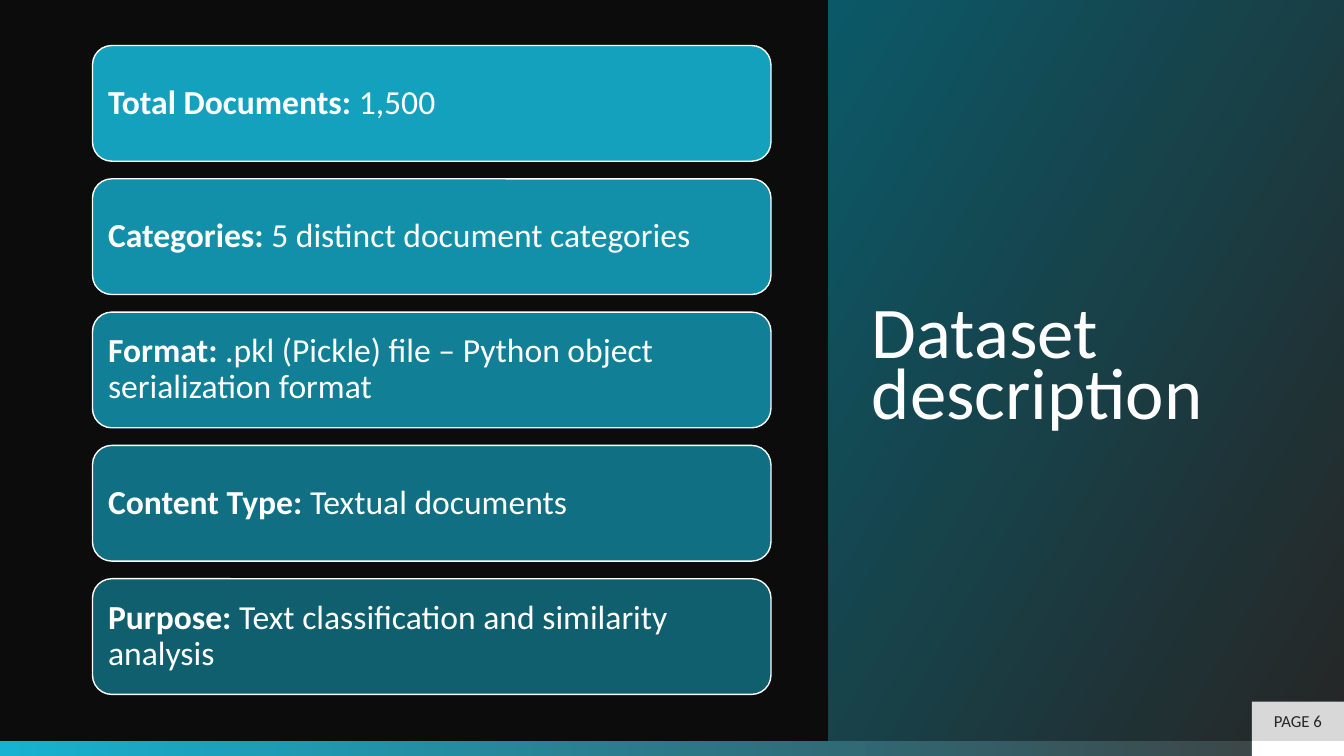
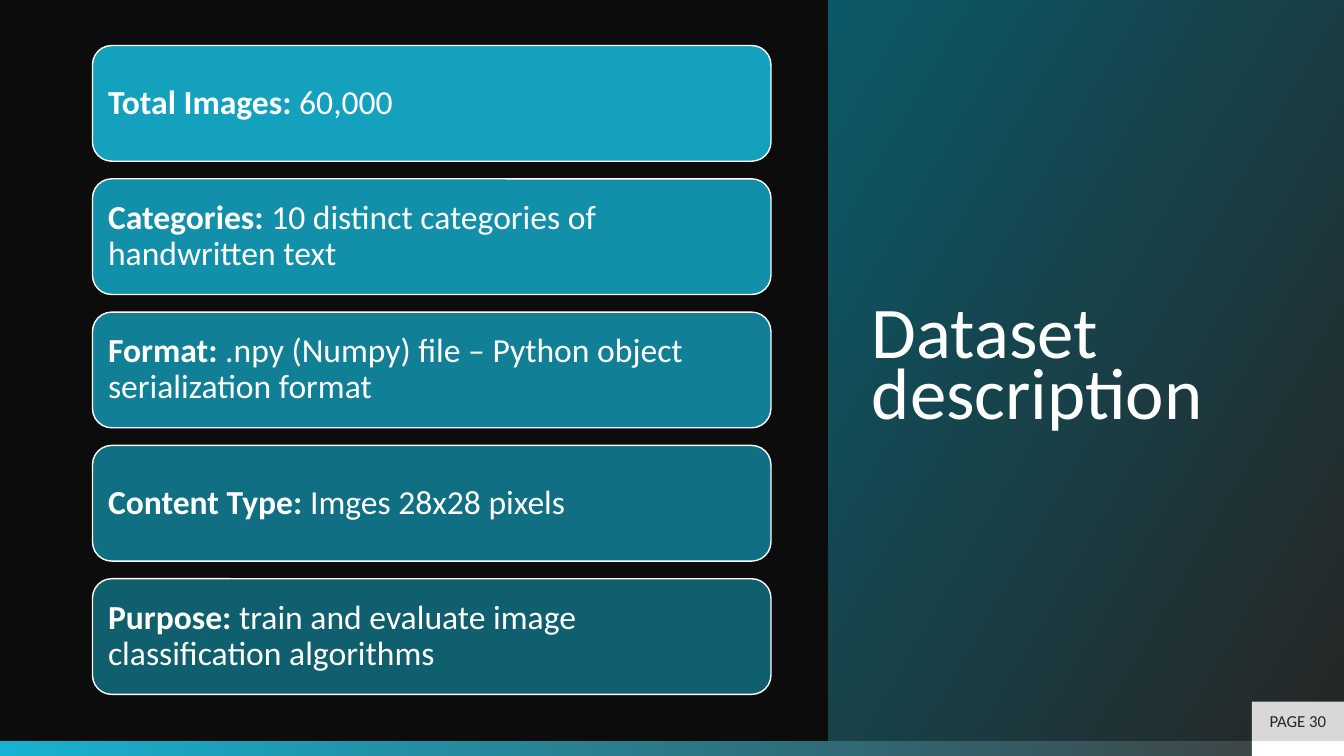
from dataclasses import dataclass
from typing import NamedTuple

from lxml.etree import SubElement
from pptx import Presentation
from pptx.dml.color import RGBColor
from pptx.enum.shapes import MSO_SHAPE
from pptx.enum.text import MSO_ANCHOR, PP_ALIGN
from pptx.oxml.ns import qn
from pptx.util import Pt


class Box(NamedTuple):
    """A rectangle in points."""

    left: float
    top: float
    width: float
    height: float


@dataclass(frozen=True)
class Theme:
    """Colours, font and type sizes of the deck."""

    background: str = "0C0C0C"
    light: str = "FFFFFF"
    dark: str = "262626"
    card: str = "14B2D1"
    badge: str = "D8D8D8"
    footer: tuple = ("17B2D1", "3F3F3F")
    panel: tuple = ("262626", "0B5968")
    font: str = "Calibri"
    title_size: int = 52
    card_size: int = 24
    badge_size: int = 12


THEME = Theme()
PAGE = Box(0, 0, 960, 540)
FOOTER_HEIGHT = 10.8
PANEL_LEFT = 591.8
BADGE_WIDTH = 65.8
BADGE_HEIGHT = 28.1
CARDS = Box(66.1, 32.5, 484.6, 463.5)
CARD_GAP = 12.6

SLIDES = [
    ("Dataset description", "PAGE 6", [
        ("Total Documents:", "1,500"),
        ("Categories:", "5 distinct document categories"),
        ("Format:", ".pkl (Pickle) file – Python object serialization format"),
        ("Content Type:", "Textual documents"),
        ("Purpose:", "Text classification and similarity analysis"),
    ]),
    ("Dataset description", "PAGE 30", [
        ("Total Images:", "60,000"),
        ("Categories:", "10 distinct categories of handwritten text"),
        ("Format:", ".npy (Numpy) file – Python object serialization format"),
        ("Content Type:", "Imges 28x28 pixels"),
        ("Purpose:", "train and evaluate image classification algorithms"),
    ]),
]


def apply_format(target, values):
    """Set each named attribute of the target."""
    for name, value in values.items():
        setattr(target, name, value)


def add_box(slide, box, color=None, kind=MSO_SHAPE.RECTANGLE):
    """Add a shape without line or shadow, filled when a colour is given."""
    shape = slide.shapes.add_shape(kind, *(Pt(length) for length in box))
    shape.shadow.inherit = False
    shape.line.fill.background()
    if color:
        shape.fill.solid()
        shape.fill.fore_color.rgb = RGBColor.from_string(color)
    return shape


def fill_gradient(shape, colors, angle):
    """Fill a shape with a linear gradient of two colours."""
    shape.fill.gradient()
    shape.fill.gradient_angle = angle
    for stop, color, position in zip(shape.fill.gradient_stops, colors, (0, 1)):
        stop.color.rgb = RGBColor.from_string(color)
        stop.position = position


def set_opacity(shape, percent):
    """Make the solid fill of a shape partly transparent."""
    color = shape.fill._xPr.find(qn("a:solidFill"))[0]
    SubElement(color, qn("a:alpha")).set("val", str(percent * 1000))


def write_text(shape, runs, size, color, insets, spacing=1.0, align=PP_ALIGN.LEFT):
    """Write one paragraph of (text, bold) runs, centred vertically."""
    across, down = (Pt(inset) for inset in insets)
    apply_format(shape.text_frame, {
        "word_wrap": True,
        "vertical_anchor": MSO_ANCHOR.MIDDLE,
        "margin_left": across,
        "margin_right": across,
        "margin_top": down,
        "margin_bottom": down,
    })
    paragraph = shape.text_frame.paragraphs[0]
    apply_format(paragraph, {"alignment": align, "line_spacing": spacing})
    for text, bold in runs:
        run = paragraph.add_run()
        run.text = text
        apply_format(run.font, {"name": THEME.font, "size": Pt(size), "bold": bold})
        run.font.color.rgb = RGBColor.from_string(color)


def add_footer(slide, box):
    """Draw the gradient band and its white end."""
    fill_gradient(add_box(slide, box), THEME.footer, 0)
    end_left = box.left + box.width - BADGE_WIDTH
    add_box(slide, Box(end_left, box.top, BADGE_WIDTH, box.height), THEME.light)


def add_title_panel(slide, box, title):
    """Draw the gradient panel with the slide title."""
    panel = add_box(slide, box)
    fill_gradient(panel, THEME.panel, 150)
    write_text(panel, [(title, False)], THEME.title_size, THEME.light, (31, 3.6), 0.7)


def add_cards(slide, box, facts):
    """Stack one card for each fact, fading from top to bottom."""
    height = (box.height - CARD_GAP * (len(facts) - 1)) / len(facts)
    for index, (label, value) in enumerate(facts):
        top = box.top + index * (height + CARD_GAP)
        card = add_box(slide, Box(box.left, top, box.width, height),
                       THEME.card, MSO_SHAPE.ROUNDED_RECTANGLE)
        set_opacity(card, 90 - 10 * index)
        card.line.color.rgb = RGBColor.from_string(THEME.light)
        card.line.width = Pt(1)
        runs = [(label, True), (f" {value}", False)]
        write_text(card, runs, THEME.card_size, THEME.light, (7.2, 7.2), 0.9)


def add_page_badge(slide, box, text):
    """Draw the page number badge."""
    badge = add_box(slide, box, THEME.badge)
    write_text(badge, [(text, False)], THEME.badge_size, THEME.dark, (7.2, 3.6),
               align=PP_ALIGN.CENTER)


def add_dataset_slide(presentation, box, title, page, facts):
    """Add a slide with fact cards beside a title panel."""
    slide = presentation.slides.add_slide(presentation.slide_layouts[6])
    slide.background.fill.solid()
    slide.background.fill.fore_color.rgb = RGBColor.from_string(THEME.background)
    body_height = box.height - FOOTER_HEIGHT
    add_footer(slide, Box(box.left, body_height, box.width, FOOTER_HEIGHT))
    add_title_panel(slide, Box(PANEL_LEFT, box.top, box.width - PANEL_LEFT, body_height), title)
    add_cards(slide, CARDS, facts)
    add_page_badge(slide, Box(box.width - BADGE_WIDTH, body_height - BADGE_HEIGHT,
                              BADGE_WIDTH, BADGE_HEIGHT), page)


def main():
    """Build and save the deck."""
    presentation = Presentation()
    apply_format(presentation, {"slide_width": Pt(PAGE.width), "slide_height": Pt(PAGE.height)})
    for title, page, facts in SLIDES:
        add_dataset_slide(presentation, PAGE, title, page, facts)
    presentation.save("out.pptx")


if __name__ == "__main__":
    main()
